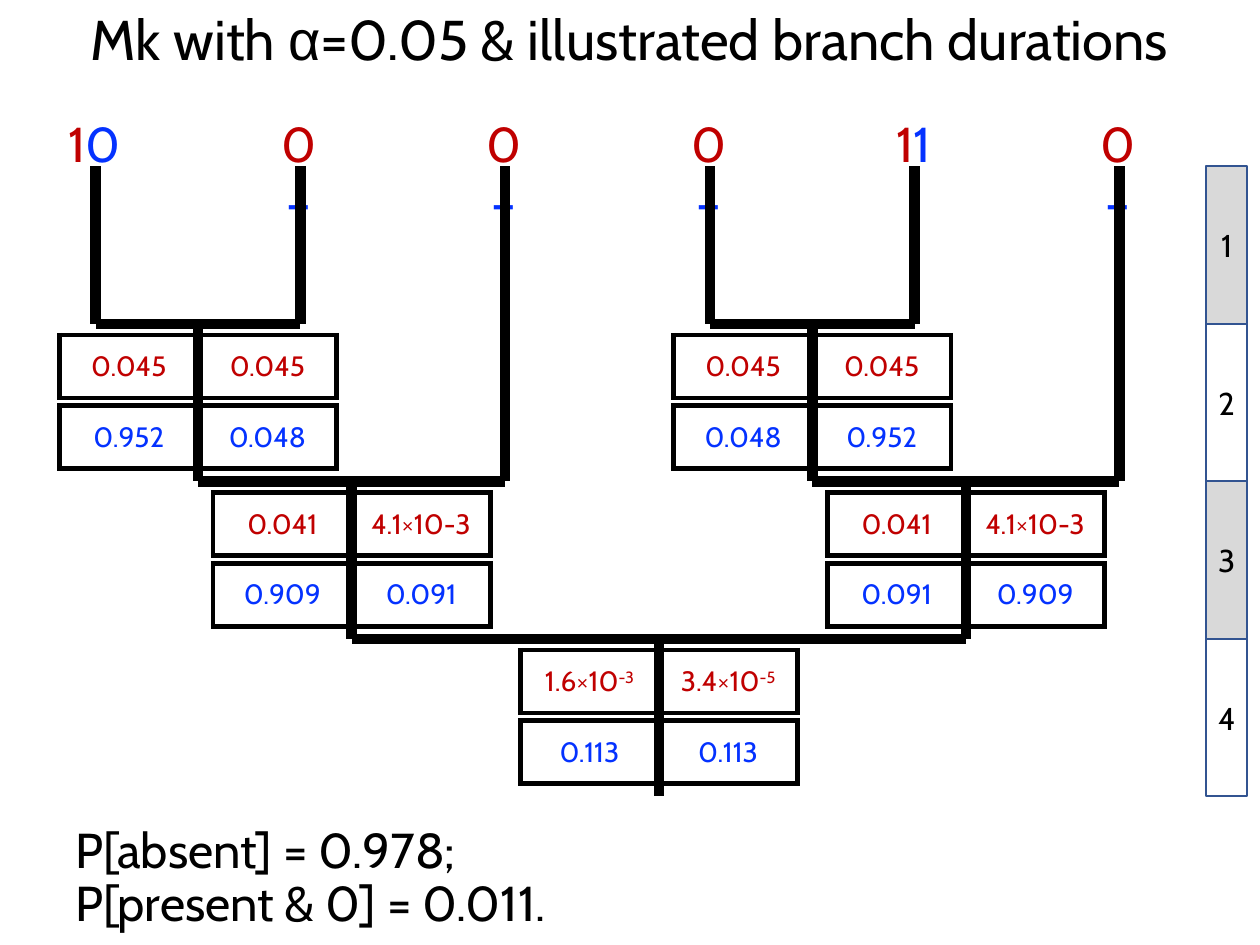
from dataclasses import dataclass

from lxml import etree
from pptx import Presentation
from pptx.dml.color import RGBColor
from pptx.enum import shapes, text
from pptx.oxml import ns
from pptx.util import Inches, Pt


@dataclass(frozen=True)
class Theme:
    """Hold the colours, fonts and sizes of the slide."""
    font: str = "Cabin"
    greek_font: str = "Arial"
    black: str = "000000"
    red: str = "C00000"
    blue: str = "0432FF"
    grey: str = "D9D9D9"
    white: str = "FFFFFF"
    outline: str = "325491"
    title_size: int = 32
    body_size: int = 28
    scale_size: int = 18
    value_size: int = 16
    branch_width: int = 6
    border_width: int = 3


THEME = Theme()
TIP_GAP = 1.625
INTERVAL = 1.25
TIPS = ("10", "0–", "0–", "0–", "11", "0–")
NODES = (
    ((0, 0), (1, 0), 1, (("0.045", "0.045"), ("0.952", "0.048"))),
    ((3, 0), (4, 0), 1, (("0.045", "0.045"), ("0.048", "0.952"))),
    ((0.5, 1), (2, 0), 2, (("0.041", "4.1×10-3"), ("0.909", "0.091"))),
    ((3.5, 1), (5, 0), 2, (("0.041", "4.1×10-3"), ("0.091", "0.909"))),
    ((1.25, 2), (4.25, 2), 3,
     (("1.6×10^-3", "3.4×10^-5"), ("0.113", "0.113"))),
)


def rgb(value):
    """Turn a hex string into a colour."""
    return RGBColor.from_string(value)


def add_run(paragraph, words, size, colour=THEME.black, font=THEME.font):
    """Append one formatted run and return it."""
    run = paragraph.add_run()
    run.text = words
    run.font.name = font
    run.font.size = Pt(size)
    run.font.bold = False
    run.font.color.rgb = rgb(colour)
    return run


def add_title(slide, left, top, width, height):
    """Place the title in its placeholder."""
    title = slide.shapes.title
    title.left, title.top = Inches(left), Inches(top)
    title.width, title.height = Inches(width), Inches(height)
    title.text_frame.vertical_anchor = text.MSO_ANCHOR.MIDDLE
    line = title.text_frame.paragraphs[0]
    line.alignment = text.PP_ALIGN.CENTER
    line.line_spacing = 0.9
    add_run(line, "Mk with ", THEME.title_size)
    add_run(line, "α", THEME.title_size, font=THEME.greek_font)
    add_run(line, "=0.05 & illustrated branch durations", THEME.title_size)


def add_summary(slide, left, top, width, height):
    """Place the resulting probabilities."""
    box = slide.shapes.add_textbox(*map(Inches, (left, top, width, height)))
    frame = box.text_frame
    frame.word_wrap = True
    results = ("P[absent] = 0.978; ", "P[present & 0] = 0.011.")
    for index, result in enumerate(results):
        line = frame.add_paragraph() if index else frame.paragraphs[0]
        line.line_spacing = 0.9
        properties = line._p.get_or_add_pPr()
        properties.set("marL", str(Inches(0.25)))
        properties.set("indent", str(-Inches(0.25)))
        add_run(line, result, THEME.body_size)


def add_branch(slide, x1, y1, x2, y2):
    """Draw one thick branch."""
    branch = slide.shapes.add_connector(
        shapes.MSO_CONNECTOR.STRAIGHT, *map(Inches, (x1, y1, x2, y2)))
    branch.line.color.rgb = rgb(THEME.black)
    branch.line.width = Pt(THEME.branch_width)
    etree.SubElement(branch._element.spPr, ns.qn("a:effectLst"))


def add_tip(slide, centre, top, states):
    """Label a tip with its two character states."""
    box = slide.shapes.add_textbox(
        Inches(centre - 0.34), Inches(top), Inches(0.66), Inches(0.57))
    frame = box.text_frame
    frame.word_wrap = True
    inset = 0.15 if states.endswith("–") else 0.1
    frame.margin_left = frame.margin_right = Inches(inset)
    line = frame.paragraphs[0]
    line.alignment = text.PP_ALIGN.CENTER
    for state, colour in zip(states, (THEME.red, THEME.blue)):
        add_run(line, state, THEME.body_size, colour)


def add_border(cell):
    """Frame a cell on its four sides."""
    properties = cell._tc.get_or_add_tcPr()
    for index, side in enumerate(("lnL", "lnR", "lnT", "lnB")):
        edge = etree.Element(ns.qn(f"a:{side}"),
                             w=str(Pt(THEME.border_width)))
        fill = etree.SubElement(edge, ns.qn("a:solidFill"))
        etree.SubElement(fill, ns.qn("a:srgbClr"), val=THEME.black)
        properties.insert(index, edge)


def add_likelihoods(slide, left, top, values, colour):
    """Place one pair of likelihoods as a table."""
    table = slide.shapes.add_table(
        1, 2, Inches(left), Inches(top), Inches(2.2), Inches(0.5)).table
    table.first_row = table.horz_banding = False
    for cell, value in zip(table.rows[0].cells, values):
        cell.fill.background()
        cell.vertical_anchor = text.MSO_ANCHOR.MIDDLE
        add_border(cell)
        line = cell.text_frame.paragraphs[0]
        line.alignment = text.PP_ALIGN.CENTER
        base, _, power = value.partition("^")
        add_run(line, base, THEME.value_size, colour)
        if power:
            exponent = add_run(line, power, THEME.value_size, colour)
            exponent.font._element.set("baseline", "30000")


def add_tree(slide, left, top):
    """Draw the tree with its tips, branches and likelihoods."""
    def across(tip):
        return left + tip * TIP_GAP

    def down(depth):
        return top + depth * INTERVAL

    for tip, states in enumerate(TIPS):
        add_tip(slide, across(tip), top - 0.47, states)
    for first, second, depth, pairs in NODES:
        centre = across((first[0] + second[0]) / 2)
        for row, values in enumerate(pairs):
            add_likelihoods(slide, centre - 1.1,
                            down(depth) + 0.09 + row * 0.56,
                            values, (THEME.red, THEME.blue)[row])
        for tip, start in (first, second):
            add_branch(slide, across(tip), down(start),
                       across(tip), down(depth))
        add_branch(slide, across(first[0]), down(depth),
                   across(second[0]), down(depth))
    add_branch(slide, centre, down(depth), centre, down(depth + 1))


def add_scale(slide, left, top, width):
    """Stack the numbered time intervals."""
    for index in range(4):
        interval = slide.shapes.add_shape(
            shapes.MSO_SHAPE.RECTANGLE, Inches(left),
            Inches(top + index * INTERVAL), Inches(width), Inches(INTERVAL))
        interval.shadow.inherit = False
        interval.fill.solid()
        interval.fill.fore_color.rgb = rgb((THEME.grey, THEME.white)[index % 2])
        interval.line.color.rgb = rgb(THEME.outline)
        interval.line.width = Pt(1)
        interval.text_frame.vertical_anchor = text.MSO_ANCHOR.MIDDLE
        line = interval.text_frame.paragraphs[0]
        line.alignment = text.PP_ALIGN.CENTER
        add_run(line, str(index + 1), THEME.scale_size)


def main():
    """Build and save the slide."""
    deck = Presentation()
    deck.slide_width, deck.slide_height = Inches(10), Inches(7.5)
    slide = deck.slides.add_slide(deck.slide_layouts[5])
    add_title(slide, 0, 0, 10, 0.67)
    add_summary(slide, 0.5, 6.51, 9.5, 0.99)
    add_tree(slide, 0.76, 1.32)
    add_scale(slide, 9.57, 1.32, 0.33)
    deck.save("out.pptx")


main()
